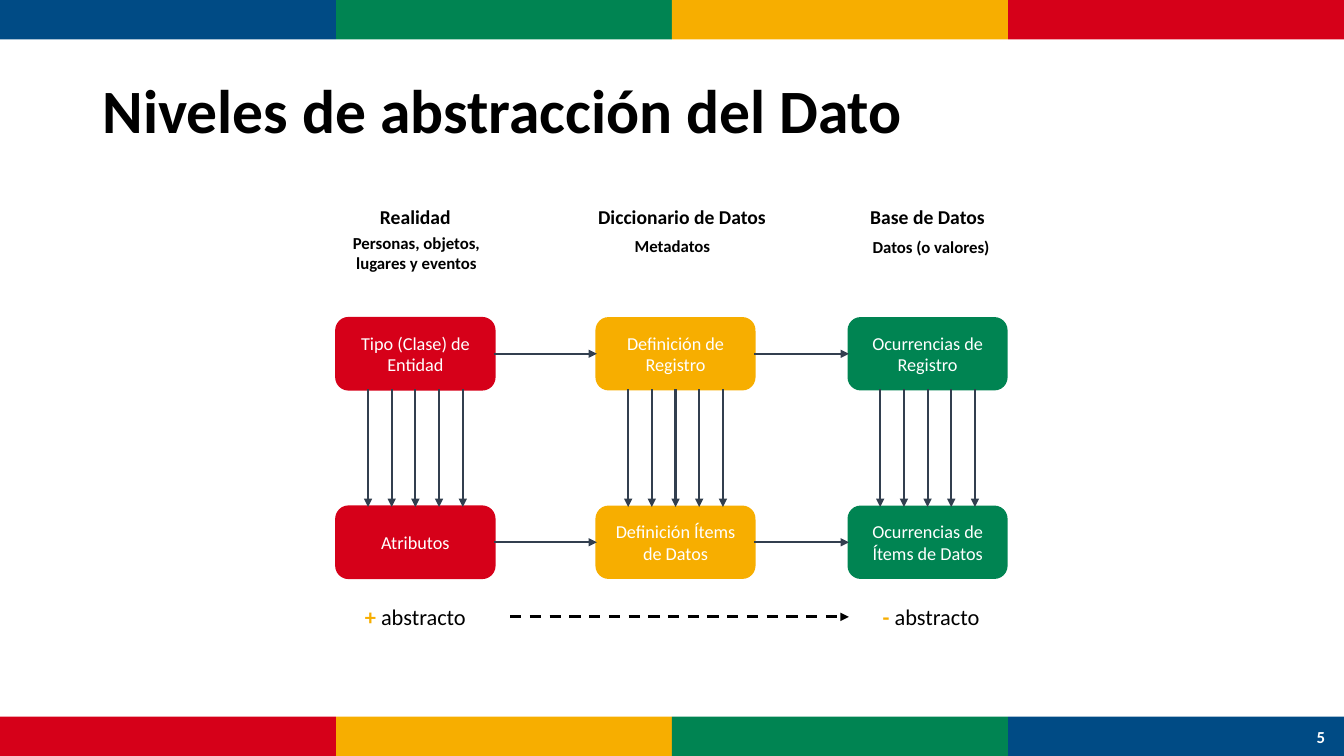
from dataclasses import dataclass

from lxml import etree
from pptx import Presentation
from pptx.dml.color import RGBColor
from pptx.enum.dml import MSO_LINE
from pptx.enum.shapes import MSO_CONNECTOR, MSO_SHAPE
from pptx.enum.text import MSO_ANCHOR, PP_ALIGN
from pptx.oxml.ns import qn
from pptx.util import Inches, Pt

STRAIGHT = MSO_CONNECTOR.STRAIGHT
RECT, ROUNDED = MSO_SHAPE.RECTANGLE, MSO_SHAPE.ROUNDED_RECTANGLE
LEFT, CENTER = PP_ALIGN.LEFT, PP_ALIGN.CENTER
TOP, MIDDLE = MSO_ANCHOR.TOP, MSO_ANCHOR.MIDDLE
DASH = MSO_LINE.DASH
SIDE_TOP, SIDE_LEFT, SIDE_BOTTOM, SIDE_RIGHT = range(4)


@dataclass(frozen=True)
class Theme:
    font: str = "Calibri"
    blue: str = "004B85"
    green: str = "008452"
    yellow: str = "F7AE00"
    red: str = "D60019"
    black: str = "000000"
    white: str = "FFFFFF"
    arrow: str = "323F4F"
    title: int = 44
    scale: int = 16
    heading: int = 14
    box: int = 13
    small: int = 12


T = Theme()

TITLE = "Niveles de abstracción del Dato"
PAGE = "5"
TOP_BAND = [T.blue, T.green, T.yellow, T.red]
BOTTOM_BAND = [T.red, T.yellow, T.green, T.blue]

# left edge, colour, outline width, (upper box, lower box)
COLUMNS = [
    (3.34, T.red, 2.25, ("Tipo (Clase) de Entidad", "Atributos")),
    (5.92, T.yellow, 2, ("Definición de Registro", "Definición Ítems de Datos")),
    (8.42, T.green, 2, ("Ocurrencias de Registro", "Ocurrencias de Ítems de Datos")),
]
# text, size, (left, top, width, height)
HEADINGS = [
    ("Realidad", T.heading, (3.34, 1.98, 1.56, 0.34)),
    ("Diccionario de Datos", T.heading, (5.64, 1.98, 2.25, 0.34)),
    ("Base de Datos", T.heading, (8.42, 1.98, 1.56, 0.34)),
    ("Personas, objetos, lugares y eventos", T.small, (3.19, 2.26, 1.88, 0.5)),
    ("Metadatos", T.small, (5.89, 2.29, 1.56, 0.3)),
    ("Datos (o valores)", T.small, (8.33, 2.3, 1.81, 0.3)),
]
# sign, alignment, (left, top, width, height)
SCALE_ENDS = [
    ("+ ", LEFT, (3.52, 5.93, 1.21, 0.37)),
    ("- ", CENTER, (8.46, 5.93, 1.55, 0.37)),
]
SCALE_WORD = "abstracto"
SCALE_ARROW = ((5.06, 6.12), (8.42, 6.12))

SLIDE_W, SLIDE_H = 13.33, 7.5
BAND_H = 0.39
BOX_W, BOX_H = 1.56, 0.7
ROW_TOPS = (3.16, 5.03)
ARROW_STEP = 0.235


def rgb(value):
    return RGBColor.from_string(value)


def write(sp, runs, size, align=CENTER, anchor=TOP, bold=False):
    """Fill a shape with one paragraph of (text, colour, bold) runs."""
    tf = sp.text_frame
    tf.word_wrap = True
    tf.vertical_anchor = anchor
    p = tf.paragraphs[0]
    p.alignment = align
    for text, colour, bold in runs:
        r = p.add_run()
        r.text = text
        r.font.name, r.font.size, r.font.bold = T.font, Pt(size), bold
        r.font.color.rgb = rgb(colour)
    return p


def add_text(s, at, runs, size, **layout):
    sp = s.shapes.add_textbox(*map(Inches, at))
    return write(sp, runs, size, **layout)


def add_block(s, kind, at, colour, outline=0):
    sp = s.shapes.add_shape(kind, *map(Inches, at))
    sp.shadow.inherit = False
    sp.fill.solid()
    sp.fill.fore_color.rgb = rgb(colour)
    if outline:
        sp.line.color.rgb = rgb(colour)
        sp.line.width = Pt(outline)
    else:
        sp.line.fill.background()
    return sp


def add_arrow(s, start, end, colour=T.arrow, width=1.5, dash=None):
    c = s.shapes.add_connector(STRAIGHT, *map(Inches, (*start, *end)))
    c.line.color.rgb = rgb(colour)
    c.line.width = Pt(width)
    if dash:
        c.line.dash_style = dash
    etree.SubElement(c.line._get_or_add_ln(), qn("a:tailEnd"), type="triangle")
    etree.SubElement(c._element.spPr, qn("a:effectLst"))
    return c


def add_bands(s):
    w = SLIDE_W / len(TOP_BAND)
    for top, colours in ((0, TOP_BAND), (SLIDE_H - BAND_H, BOTTOM_BAND)):
        for i, colour in enumerate(colours):
            add_block(s, RECT, (i * w, top, w, BAND_H), colour)


def add_boxes(s):
    """Draw the boxes and return them as (upper, lower) pairs."""
    pairs = []
    for left, colour, outline, labels in COLUMNS:
        pair = []
        for top, label in zip(ROW_TOPS, labels):
            sp = add_block(s, ROUNDED, (left, top, BOX_W, BOX_H), colour, outline)
            write(sp, [(label, T.white, False)], T.box, anchor=MIDDLE)
            pair.append(sp)
        pairs.append(pair)
    return pairs


def add_box_arrows(s, pairs):
    for (left, *_), (upper, lower) in zip(COLUMNS, pairs):
        for k in range(-2, 3):
            x = left + BOX_W / 2 + k * ARROW_STEP
            c = add_arrow(s, (x, ROW_TOPS[0] + BOX_H), (x, ROW_TOPS[1]))
            if k == 0:
                c.begin_connect(upper, SIDE_BOTTOM)
                c.end_connect(lower, SIDE_TOP)
    for i in range(len(pairs) - 1):
        for row, top in enumerate(ROW_TOPS):
            y = top + BOX_H / 2
            c = add_arrow(s, (COLUMNS[i][0] + BOX_W, y), (COLUMNS[i + 1][0], y))
            c.begin_connect(pairs[i][row], SIDE_RIGHT)
            c.end_connect(pairs[i + 1][row], SIDE_LEFT)


def main():
    prs = Presentation()
    prs.slide_width, prs.slide_height = Inches(SLIDE_W), Inches(SLIDE_H)
    s = prs.slides.add_slide(prs.slide_layouts[6])

    add_bands(s)
    p = add_text(s, (0.92, 0.4, 11.5, 1.45), [(TITLE, T.black, True)], T.title,
                 align=LEFT, anchor=MIDDLE)
    p.line_spacing = 0.9
    add_text(s, (12.87, 7.11, 0.46, 0.4), [(PAGE, T.white, True)], T.small, anchor=MIDDLE)

    add_box_arrows(s, add_boxes(s))
    for text, size, at in HEADINGS:
        add_text(s, at, [(text, T.black, True)], size)
    for sign, align, at in SCALE_ENDS:
        runs = [(sign, T.yellow, True), (SCALE_WORD, T.black, False)]
        add_text(s, at, runs, T.scale, align=align)
    add_arrow(s, *SCALE_ARROW, colour=T.black, width=2, dash=DASH)

    prs.save("out.pptx")


if __name__ == "__main__":
    main()
